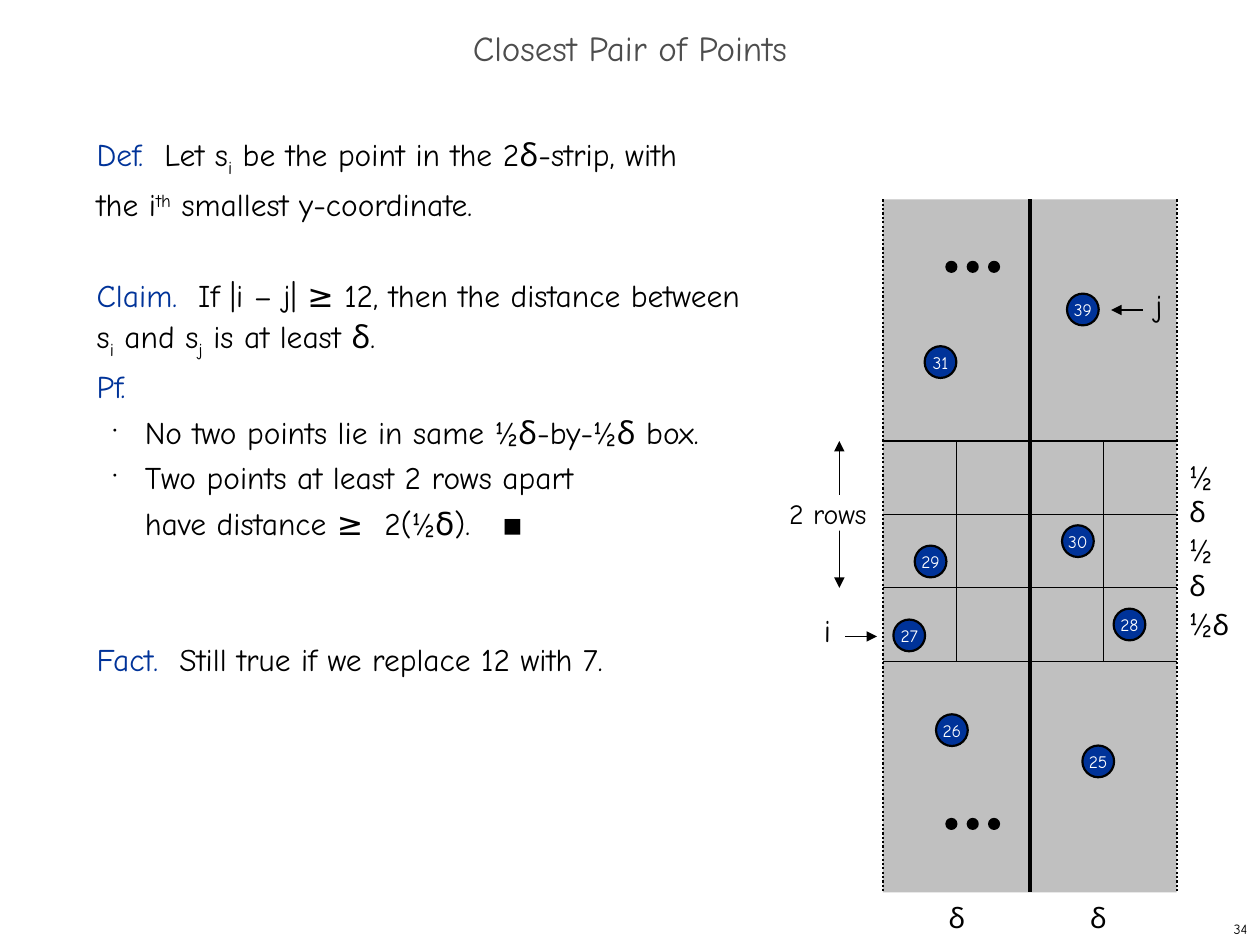
from dataclasses import dataclass

from lxml import etree
from pptx import Presentation
from pptx.dml.color import RGBColor
from pptx.enum.dml import MSO_LINE
from pptx.enum.shapes import MSO_CONNECTOR, MSO_SHAPE
from pptx.enum.text import MSO_ANCHOR, PP_ALIGN
from pptx.oxml.ns import qn
from pptx.util import Cm, Pt

STRAIGHT = MSO_CONNECTOR.STRAIGHT
OVAL, RECTANGLE = MSO_SHAPE.OVAL, MSO_SHAPE.RECTANGLE
DOTTED = MSO_LINE.ROUND_DOT
LEFT, CENTER, RIGHT = PP_ALIGN.LEFT, PP_ALIGN.CENTER, PP_ALIGN.RIGHT
TOP, MIDDLE = MSO_ANCHOR.TOP, MSO_ANCHOR.MIDDLE
SUB, SUPER = -25000, 30000


@dataclass(frozen=True)
class Theme:
    """Colours, font and type sizes of the deck."""
    font: str = "Comic Neue"
    ink: RGBColor = RGBColor(0, 0, 0)
    accent: RGBColor = RGBColor(0x00, 0x33, 0x99)
    strip: RGBColor = RGBColor(0xC0, 0xC0, 0xC0)
    paper: RGBColor = RGBColor(0xFF, 0xFF, 0xFF)
    heading: RGBColor = RGBColor(0x4D, 0x4D, 0x4D)
    title: int = 20
    body: int = 18
    label: int = 16
    point: int = 10
    number: int = 8
    leading: int = 26


class SlideBuilder:
    """Draws styled elements on one slide, with lengths in centimetres."""

    def __init__(self, page, theme):
        self.page = page
        self.theme = theme

    def style(self, para, size, color=None, align=LEFT):
        """Set the font and alignment of a paragraph."""
        para.alignment = align
        para.font.name = self.theme.font
        para.font.size = Pt(size)
        para.font.color.rgb = color or self.theme.ink

    def title(self, text):
        """Fill and place the title placeholder."""
        box = self.page.shapes.title
        box.left, box.top, box.width, box.height = Cm(0), Cm(0.43), Cm(25.4), Cm(1.27)
        box.text_frame.text = text
        box.text_frame.vertical_anchor = MIDDLE
        para = box.text_frame.paragraphs[0]
        self.style(para, self.theme.title, self.theme.heading, CENTER)
        para.line_spacing = 0.7

    def textbox(self, left, top, width, height, anchor=TOP):
        """Add a wrapping text box and return its frame."""
        box = self.page.shapes.add_textbox(Cm(left), Cm(top), Cm(width), Cm(height))
        box.text_frame.word_wrap = True
        box.text_frame.vertical_anchor = anchor
        return box.text_frame

    def label(self, text, left, top, width, height, size, align=CENTER, anchor=TOP):
        """Add a short label and return its paragraph."""
        para = self.textbox(left, top, width, height, anchor).paragraphs[0]
        para.text = text
        self.style(para, size, align=align)
        return para

    def statement(self, para, lead, lines, gap=0, bullet=False):
        """Write a paragraph from a coloured lead and lines of (text, baseline) spans."""
        self.style(para, self.theme.body)
        para.line_spacing = Pt(self.theme.leading)
        para.space_before = Pt(gap)
        if lead:
            span = para.add_run()
            span.text = lead
            span.font.color.rgb = self.theme.accent
        for index, line in enumerate(lines):
            if index:
                para.add_line_break()
            for text, baseline in line:
                span = para.add_run()
                span.text = text
                if baseline:
                    span.font.size = Pt(self.theme.body)
                    span._r.get_or_add_rPr().set("baseline", str(baseline))
        if bullet:
            self.bullet(para)

    def bullet(self, para):
        """Give a paragraph a small hanging bullet."""
        props = para._p.get_or_add_pPr()
        props.set("marL", str(Cm(0.97)))
        props.set("indent", str(-Cm(0.64)))
        marks = [etree.Element(qn("a:buClr")), etree.Element(qn("a:buSzPct"), val="35000"),
                 etree.Element(qn("a:buChar"), char="•")]
        etree.SubElement(marks[0], qn("a:srgbClr"), val=str(self.theme.ink))
        defaults = props.find(qn("a:defRPr"))
        for mark in marks:
            defaults.addprevious(mark)

    def shape(self, kind, left, top, width, height, fill, outline=0):
        """Add a flat preset shape, outlined if a width is given."""
        shape = self.page.shapes.add_shape(kind, Cm(left), Cm(top), Cm(width), Cm(height))
        shape.shadow.inherit = False
        shape.fill.solid()
        shape.fill.fore_color.rgb = fill
        if outline:
            shape.line.color.rgb = self.theme.ink
            shape.line.width = Pt(outline)
        else:
            shape.line.fill.background()
        return shape

    def caption(self, shape, text, size, color):
        """Centre one line of text in a shape."""
        frame = shape.text_frame
        frame.word_wrap = False
        frame.vertical_anchor = MIDDLE
        frame.text = text
        self.style(frame.paragraphs[0], size, color, CENTER)

    def disc(self, x, y, diameter, fill):
        """Add an outlined circle about a centre."""
        return self.shape(OVAL, x - diameter / 2, y - diameter / 2, diameter, diameter, fill, 1.25)

    def line(self, x1, y1, x2, y2, width=0.75, dash=None, arrows=()):
        """Add a straight line with optional headEnd and tailEnd arrows."""
        line = self.page.shapes.add_connector(STRAIGHT, Cm(x1), Cm(y1), Cm(x2), Cm(y2))
        line.line.color.rgb = self.theme.ink
        line.line.width = Pt(width)
        if dash:
            line.line.dash_style = dash
        for end in arrows:
            etree.SubElement(line.line._get_or_add_ln(), qn(f"a:{end}"), type="triangle")
        etree.SubElement(line._element.spPr, qn("a:effectLst"))


STATEMENTS = [
    ("Def.  ", [[("Let s", 0), ("i", SUB), (" be the point in the 2δ-strip, with", 0)],
                [("the i", 0), ("th", SUPER), (" smallest y-coordinate.", 0)]], 0, False),
    ("Claim.  ", [[("If |i – j| ≥ 12, then the distance between", 0)],
                  [("s", 0), ("i", SUB), (" and s", 0), ("j", SUB), (" is at least δ.", 0)]],
     26, False),
    ("Pf.", [], 0, False),
    ("", [[("No two points lie in same ½δ-by-½δ box.", 0)]], 0, True),
    ("", [[("Two points at least 2 rows apart", 0)],
          [("have distance ≥  2(½δ).   ▪", 0)]], 0, True),
    ("Fact.  ", [[("Still true if we replace 12 with 7.", 0)]], 52, False),
]
POINTS = {"27": (18.33, 12.81), "29": (18.76, 11.32), "30": (21.73, 10.91),
          "31": (18.96, 7.3), "28": (22.77, 12.59), "26": (19.19, 14.72),
          "25": (22.14, 15.35), "39": (21.83, 6.24)}
STRIP_LEFT, STRIP_TOP, STRIP_HEIGHT = 17.8, 4.02, 13.97
CELL, GRID_TOP = 1.48, 8.89
STRIP_RIGHT, STRIP_BOTTOM = STRIP_LEFT + 4 * CELL, STRIP_TOP + STRIP_HEIGHT
GRID_BOTTOM = GRID_TOP + 3 * CELL

theme = Theme()
deck = Presentation()
deck.slide_width, deck.slide_height = Cm(25.4), Cm(19.05)
builder = SlideBuilder(deck.slides.add_slide(deck.slide_layouts[5]), theme)

builder.title("Closest Pair of Points")
body = builder.textbox(1.7, 2.54, 21.8, 15.04)
for index, (lead, lines, gap, bullet) in enumerate(STATEMENTS):
    para = body.add_paragraph() if index else body.paragraphs[0]
    builder.statement(para, lead, lines, gap, bullet)

builder.shape(RECTANGLE, STRIP_LEFT, STRIP_TOP, 4 * CELL, STRIP_HEIGHT, theme.strip)
for column, width, dash in ((0, 1.25, DOTTED), (2, 2, None), (4, 1.25, DOTTED)):
    x = STRIP_LEFT + column * CELL
    builder.line(x, STRIP_TOP, x, STRIP_BOTTOM, width, dash)
for column in (1, 3):
    x = STRIP_LEFT + column * CELL
    builder.line(x, GRID_TOP, x, GRID_BOTTOM)
for row in range(4):
    y = GRID_TOP + row * CELL
    builder.line(STRIP_LEFT, y, STRIP_RIGHT, y)

for name, (x, y) in POINTS.items():
    builder.caption(builder.disc(x, y, 0.64, theme.accent), name, theme.point, theme.paper)
for y in (5.38, 16.61):
    for step in range(3):
        builder.disc(19.18 + step * 0.43, y, 0.2, theme.ink)

builder.line(16.92, GRID_TOP, 16.92, GRID_TOP + 2 * CELL, arrows=("headEnd", "tailEnd"))
rows_box = builder.shape(RECTANGLE, 15.6, 9.98, 2.18, 0.72, theme.paper)
builder.caption(rows_box, "2 rows", theme.label, theme.ink)
for row, width in enumerate((1.24, 1.24, 1.45)):
    para = builder.label("½", STRIP_RIGHT, 9.09 + row * CELL, width, 1.02, theme.body, LEFT)
    delta = para.add_run()
    delta.text = "δ"
    delta.font.size = Pt(theme.label)
for x in (18.87, 21.72):
    builder.label("δ", x, 18.03, 0.84, 0.94, theme.label)
builder.label("i", 16.26, 12.19, 0.84, 1.02, theme.body)
builder.label("j", 22.94, 5.64, 0.84, 1.02, theme.body)
builder.line(17.04, 12.83, 17.68, 12.83, arrows=("tailEnd",))
builder.line(23.04, 6.25, 22.4, 6.25, arrows=("tailEnd",))
builder.label("34", 20.12, 18.42, 5.28, 0.63, theme.number, RIGHT, MIDDLE)

deck.save("out.pptx")
